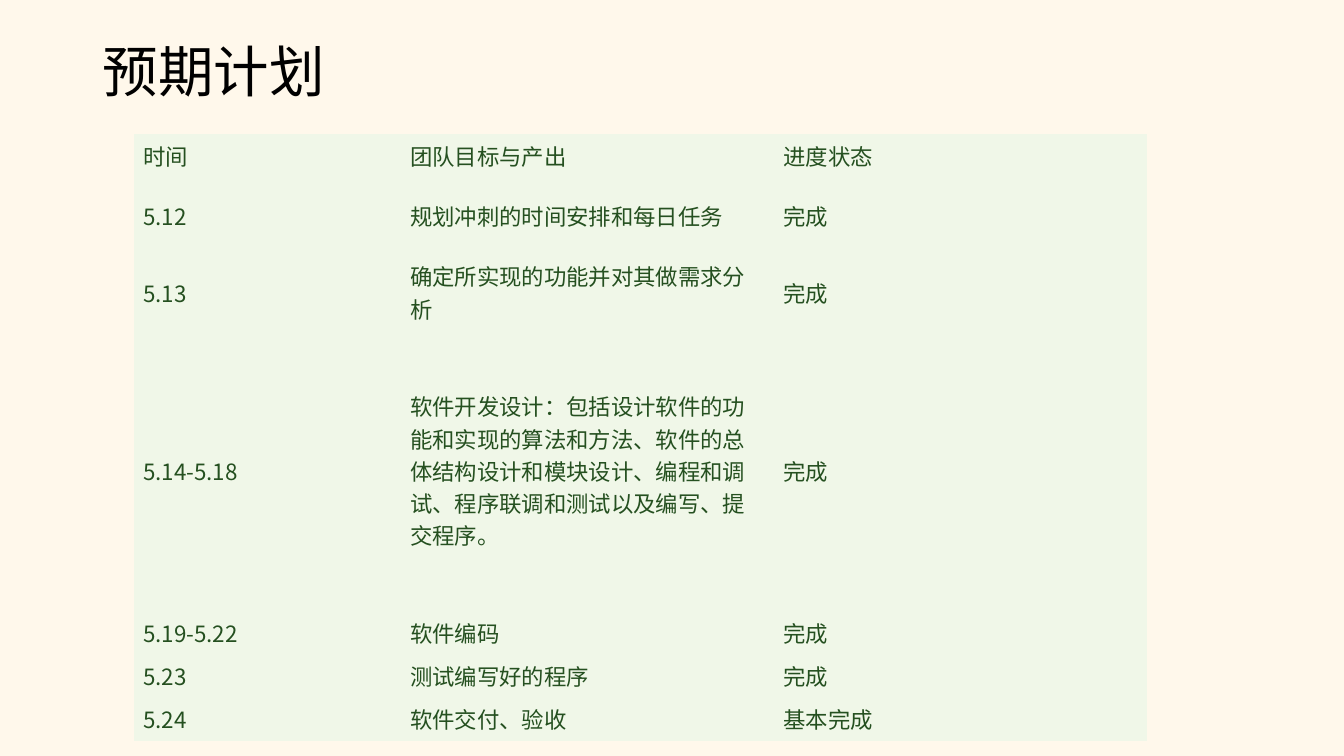
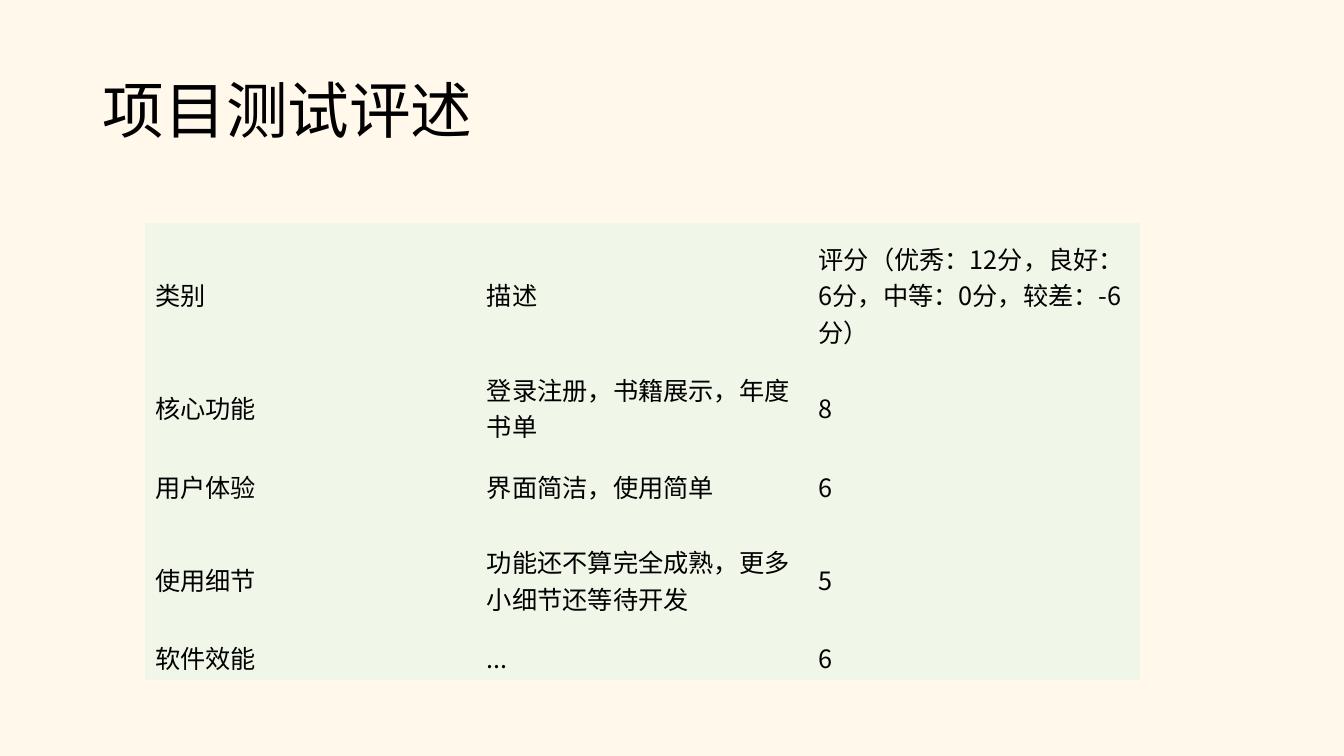
import pptx
import pptx.dml.color
import pptx.enum.text
import pptx.oxml
import pptx.oxml.ns
import pptx.util
from pptx.util import Inches

CREAM = pptx.dml.color.RGBColor(0xFF, 0xF8, 0xEB)
PALE_GREEN = pptx.dml.color.RGBColor(0xF0, 0xF7, 0xE8)
DARK_GREEN = pptx.dml.color.RGBColor(0x25, 0x50, 0x20)
BLACK = pptx.dml.color.RGBColor(0, 0, 0)
FONT = "Noto Sans CJK SC"
PLAIN_TABLE_STYLE = "{2D5ABB26-0587-4C30-8999-92F81FD0307C}"
TITLE_ONLY = 5

PLAN = [
    ("时间", "团队目标与产出", "进度状态"),
    ("5.12", "规划冲刺的时间安排和每日任务", "完成"),
    ("5.13", "确定所实现的功能并对其做需求分析", "完成"),
    ("5.14-5.18",
     "软件开发设计：包括设计软件的功能和实现的算法和方法、软件的总体结构设计和"
     "模块设计、编程和调试、程序联调和测试以及编写、提交程序。",
     "完成"),
    ("5.19-5.22", "软件编码", "完成"),
    ("5.23", "测试编写好的程序", "完成"),
    ("5.24", "软件交付、验收", "基本完成"),
]

REVIEW = [
    ("类别", "描述", "评分（优秀：12分，良好：6分，中等：0分，较差：-6分）"),
    ("核心功能", "登录注册，书籍展示，年度书单", "8"),
    ("用户体验", "界面简洁，使用简单", "6"),
    ("使用细节", "功能还不算完全成熟，更多小细节还等待开发", "5"),
    ("软件效能", "...", "6"),
]


def style_paragraph(paragraph, size, color):
    """Set the shared face for Latin and East Asian text."""
    paragraph.alignment = pptx.enum.text.PP_ALIGN.LEFT
    font = paragraph.font
    font.size = pptx.util.Pt(size)
    font.color.rgb = color
    font.name = FONT
    defaults = paragraph._p.pPr.find(pptx.oxml.ns.qn("a:defRPr"))
    east_asian = pptx.oxml.parse_xml(
        f'<a:ea {pptx.oxml.ns.nsdecls("a")} typeface="{FONT}"/>')
    defaults.find(pptx.oxml.ns.qn("a:latin")).addnext(east_asian)


def place_title(page, text, height, size):
    title = page.shapes.title
    title.left, title.top = Inches(0.92), Inches(0.4)
    title.width, title.height = Inches(11.5), Inches(height)
    frame = title.text_frame
    frame.text = text
    frame.word_wrap = True
    frame.auto_size = pptx.enum.text.MSO_AUTO_SIZE.NONE
    frame.vertical_anchor = pptx.enum.text.MSO_ANCHOR.MIDDLE
    paragraph = frame.paragraphs[0]
    paragraph.line_spacing = 0.9
    style_paragraph(paragraph, size, BLACK)


def place_table(page, left, top, widths, heights, rows, size, color, margin):
    box = page.shapes.add_table(
        len(heights), len(widths), Inches(left), Inches(top),
        Inches(sum(widths)), Inches(sum(heights)))
    table = box.table
    table.first_row = table.horz_banding = False
    style = table._tbl.tblPr.find(pptx.oxml.ns.qn("a:tableStyleId"))
    style.text = PLAIN_TABLE_STYLE

    for column, width in zip(table.columns, widths):
        column.width = Inches(width)
    for row, height, texts in zip(table.rows, heights, rows):
        row.height = Inches(height)
        for cell, text in zip(row.cells, texts):
            cell.text = text
            cell.fill.solid()
            cell.fill.fore_color.rgb = PALE_GREEN
            cell.vertical_anchor = pptx.enum.text.MSO_ANCHOR.MIDDLE
            cell.margin_left = cell.margin_right = Inches(margin)
            cell.margin_top = cell.margin_bottom = Inches(0.04)
            style_paragraph(cell.text_frame.paragraphs[0], size, color)


def add_page(deck):
    return deck.slides.add_slide(deck.slide_layouts[TITLE_ONLY])


def main():
    deck = pptx.Presentation()
    deck.slide_width, deck.slide_height = Inches(13.33), Inches(7.5)
    background = deck.slide_master.background.fill
    background.solid()
    background.fore_color.rgb = CREAM

    # Schedule
    page = add_page(deck)
    place_title(page, "预期计划", 0.67, 39.6)
    place_table(page, 1.33, 1.33, [2.65, 3.7, 3.7],
                [0.43, 0.76, 0.76, 2.78, 0.43, 0.43, 0.43],
                PLAN, 16, DARK_GREEN, 0.09)

    # Test review
    page = add_page(deck)
    place_title(page, "项目测试评述", 1.45, 44)
    place_table(page, 1.44, 2.21, [3.29] * 3,
                [1.43, 0.76, 0.76, 1.1, 0.43],
                REVIEW, 18, BLACK, 0.1)

    deck.save("out.pptx")


if __name__ == "__main__":
    main()
